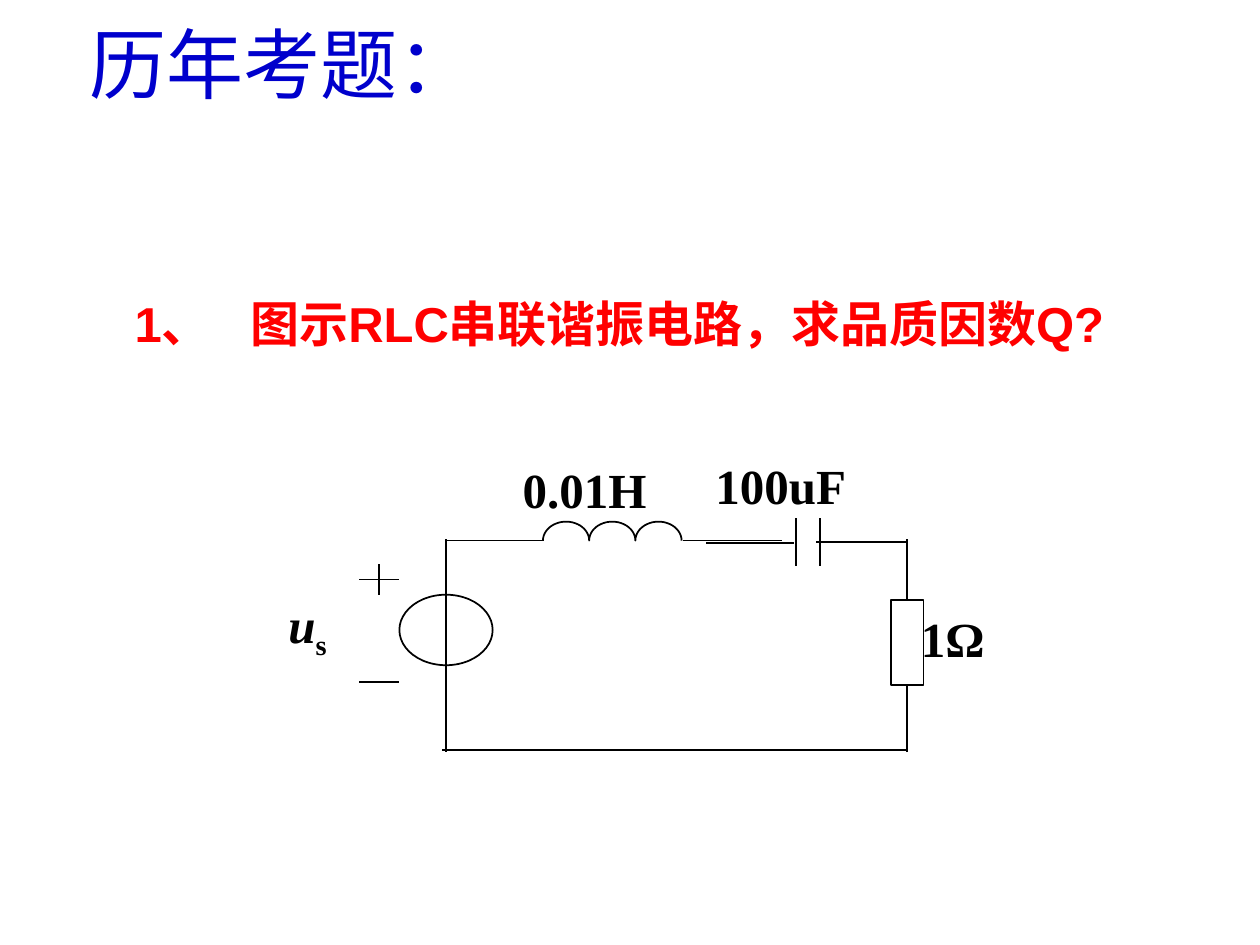
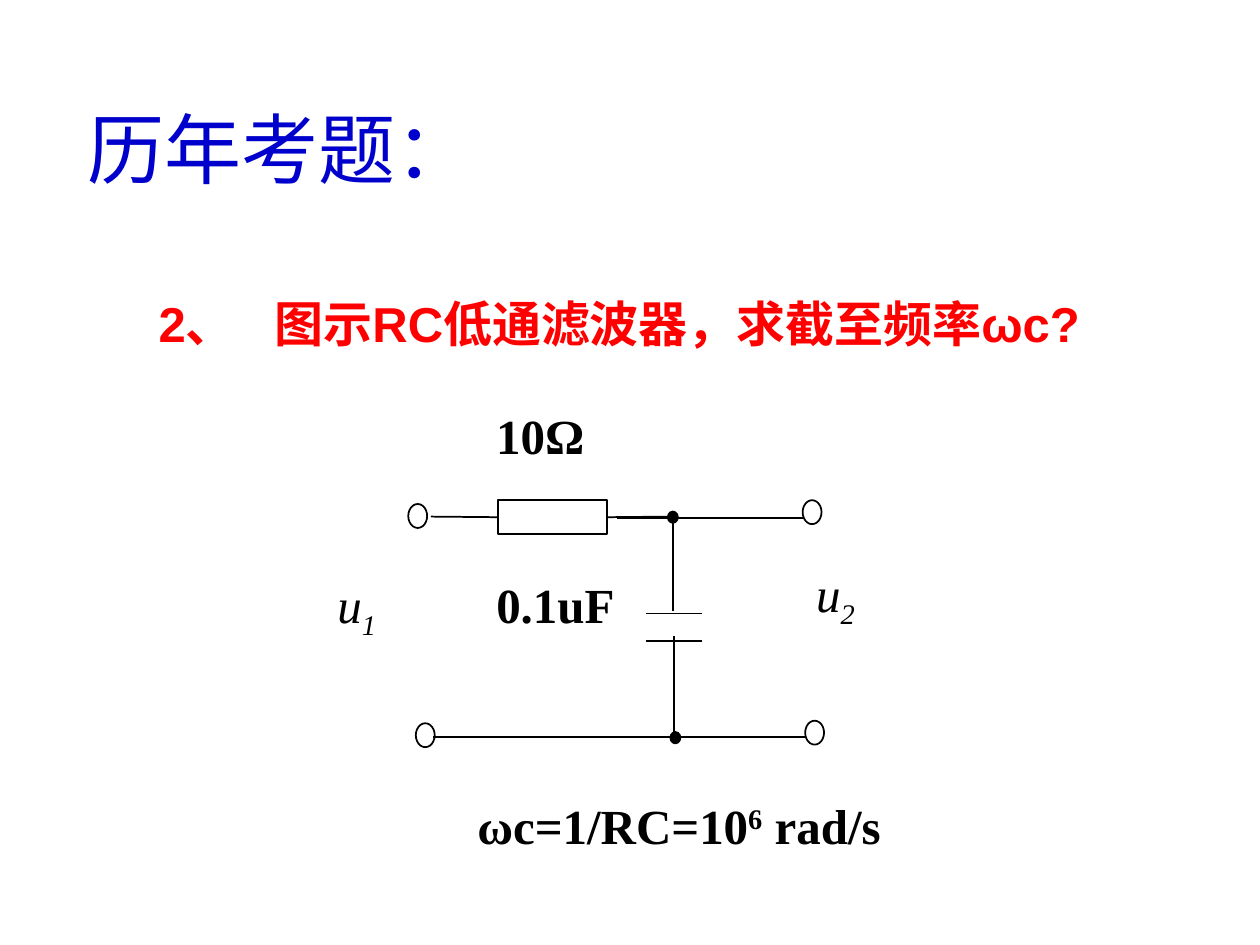
from dataclasses import dataclass
from math import cos, pi, sin

from lxml.etree import SubElement
from pptx import Presentation
from pptx.dml.color import RGBColor
from pptx.enum.shapes import MSO_CONNECTOR, MSO_SHAPE
from pptx.enum.text import MSO_ANCHOR, MSO_AUTO_SIZE, PP_ALIGN
from pptx.oxml.ns import qn
from pptx.util import Pt

PX = 9144  # 100 px to the inch
TOP, LEFT, BOTTOM, RIGHT = range(4)


@dataclass(frozen=True)
class Theme:
    ink: RGBColor = RGBColor(0, 0, 0)
    heading: RGBColor = RGBColor(0x00, 0x00, 0xCC)
    question: RGBColor = RGBColor(0xFF, 0x00, 0x00)
    sans: str = "Arial"
    serif: str = "Times New Roman"
    heading_size: int = 44
    body_size: int = 28
    line_width: int = 1


class Sheet:
    """The style, and the slide being drawn."""

    def __init__(self, deck, theme):
        self.deck, self.theme, self.slide = deck, theme, None

    def new_slide(self, question, heading_left, heading_top):
        self.slide = self.deck.slides.add_slide(self.deck.slide_layouts[5])
        self.question(question)
        self.text(heading_left, heading_top, 340, 84, [("历年考题：", {})],
                  size=self.theme.heading_size, font=self.theme.sans,
                  color=self.theme.heading, bold=False)

    def run(self, paragraph, words, size, font, color, bold=True,
            italic=False, baseline=0):
        run = paragraph.add_run()
        run.text = words
        run.font.size, run.font.name = Pt(size), font
        run.font.bold, run.font.italic = bold, italic
        run.font.color.rgb = color
        if baseline:
            run._r.get_or_add_rPr().set("baseline", str(baseline * 1000))

    def question(self, words):
        title = self.slide.shapes.title
        title.left, title.top, title.width, title.height = (
            v * PX for v in (0, 204, 1000, 50))
        frame = title.text_frame
        frame.auto_size = MSO_AUTO_SIZE.NONE
        frame.vertical_anchor = MSO_ANCHOR.MIDDLE
        frame.word_wrap = True
        paragraph = frame.paragraphs[0]
        # Hanging number with one tab stop per inch
        props = paragraph._p.get_or_add_pPr()
        props.set("marL", str(92 * PX))
        props.set("indent", str(-92 * PX))
        tabs = SubElement(props, qn("a:tabLst"))
        for inch in range(8):
            SubElement(tabs, qn("a:tab"), pos=str(inch * 100 * PX), algn="l")
        paragraph.alignment = PP_ALIGN.CENTER
        paragraph.line_spacing = 1.5
        theme = self.theme
        self.run(paragraph, words, theme.body_size, theme.sans, theme.question)
        # The taller closing space sets the line height
        self.run(paragraph, " ", theme.heading_size, theme.sans,
                 theme.question, bold=False)

    def text(self, left, top, width, height, runs, anchor=MSO_ANCHOR.TOP,
             **style):
        box = self.slide.shapes.add_textbox(
            left * PX, top * PX, width * PX, height * PX)
        frame = box.text_frame
        frame.word_wrap = True
        frame.vertical_anchor = anchor
        base = dict(size=self.theme.body_size, font=self.theme.serif,
                    color=self.theme.ink) | style
        for words, change in runs:
            self.run(frame.paragraphs[0], words, **(base | change))

    def outline(self, shape, fill=None):
        shape.shadow.inherit = False
        shape.line.color.rgb = self.theme.ink
        shape.line.width = Pt(self.theme.line_width)
        if fill is None:
            shape.fill.background()
        else:
            shape.fill.solid()
            shape.fill.fore_color.rgb = fill
        return shape

    def shape(self, kind, left, top, width, height, fill=None):
        return self.outline(self.slide.shapes.add_shape(
            kind, left * PX, top * PX, width * PX, height * PX), fill)

    def wire(self, x1, y1, x2, y2, begin=None, end=None):
        line = self.slide.shapes.add_connector(
            MSO_CONNECTOR.STRAIGHT, x1 * PX, y1 * PX, x2 * PX, y2 * PX)
        line.line.color.rgb = self.theme.ink
        line.line.width = Pt(self.theme.line_width)
        SubElement(line._element.spPr, qn("a:effectLst"))
        if begin:
            line.begin_connect(*begin)
        if end:
            line.end_connect(*end)

    def wires(self, ends):
        for points in ends:
            self.wire(*points)

    def coil(self, left, base, width, height, turns=3, steps=24):
        radius = width / turns / 2
        points = [((left + radius * (2 * turn + 1 - cos(pi * i / steps))) * PX,
                   (base - height * sin(pi * i / steps)) * PX)
                  for turn in range(turns) for i in range(steps + 1)]
        builder = self.slide.shapes.build_freeform(*points[0], scale=1.0)
        builder.add_line_segments(points[1:], close=False)
        self.outline(builder.convert_to_shape())


def series_circuit(sheet):
    sheet.new_slide("1、\t图示RLC串联谐振电路，求品质因数Q?", 61, 8)

    # Capacitor plates, then its leads
    sheet.wires([(x, 449, x, 411) for x in (632, 651)])
    sheet.wires([(719, 430, 648, 430), (630, 431, 560, 431)])

    # Inductor and its leads
    sheet.coil(431, 429, 110, 15)
    sheet.wires([(542, 429, 621, 429), (353, 429, 432, 429)])

    # Resistor on the right branch
    resistor = sheet.shape(MSO_SHAPE.RECTANGLE, 707, 476, 26, 68)
    sheet.wire(720, 428, 720, 476, end=(resistor, TOP))
    sheet.wire(720, 597, 720, 544, end=(resistor, BOTTOM))

    # Source on the left branch, with its polarity signs
    sheet.shape(MSO_SHAPE.OVAL, 317, 472, 74, 56)
    sheet.wires([(354, 428, 354, 597), (285, 460, 317, 460),
                 (301, 448, 301, 472), (285, 541, 317, 541)])

    # Return wire
    sheet.wire(351, 595, 721, 595)

    # Values
    sheet.text(405, 360, 223, 60, [("0.01H", {})])
    sheet.text(558, 357, 199, 60, [("100uF", {})])
    sheet.text(721, 478, 149, 60, [("1Ω", {})])
    sheet.text(219, 467, 124, 67, [("u", {"italic": True}),
                                   ("s", {"baseline": -25})])


def low_pass_filter(sheet):
    sheet.new_slide("2、\t图示RC低通滤波器，求截至频率ωc?", 60, 76)

    # Junctions
    for left, top in ((532, 581), (530, 406)):
        sheet.shape(MSO_SHAPE.FLOWCHART_CONNECTOR, left, top, 8, 9,
                    fill=sheet.theme.ink)

    # Capacitor plates, then its leads
    sheet.wires([(513, y, 557, y) for y in (487, 509)])
    sheet.wires([(535, 584, 535, 505), (534, 485, 534, 406)])

    # Resistor and the upper wire
    resistor = sheet.shape(MSO_SHAPE.RECTANGLE, 395, 397, 87, 27)
    sheet.wire(342, 410, 395, 410, end=(resistor, LEFT))
    sheet.wire(482, 410, 533, 410, begin=(resistor, RIGHT))
    sheet.wire(638, 411, 490, 411)

    # Lower wire
    sheet.wire(639, 585, 344, 585)

    # Terminals
    for left, top in ((324, 400), (637, 397), (330, 574), (639, 572)):
        sheet.shape(MSO_SHAPE.OVAL, left, top, 15, 19)

    # Values and voltages
    sheet.text(384, 317, 127, 86, [("10Ω", {})])
    sheet.text(384, 451, 169, 86, [("0.1uF", {})])
    for left, top, index in ((258, 451, "1"), (638, 442, "2")):
        sheet.text(left, top, 127, 97, [("u", {}), (index, {"baseline": -25})],
                   bold=False, italic=True)

    # Answer
    sheet.text(369, 626, 347, 57,
               [("ωc=1/RC=10", {}), ("6", {"baseline": 30}), (" rad/s", {})],
               anchor=MSO_ANCHOR.MIDDLE)


def main():
    deck = Presentation()
    deck.slide_width, deck.slide_height = 1000 * PX, 750 * PX
    sheet = Sheet(deck, Theme())
    series_circuit(sheet)
    low_pass_filter(sheet)
    deck.save("out.pptx")


if __name__ == "__main__":
    main()
